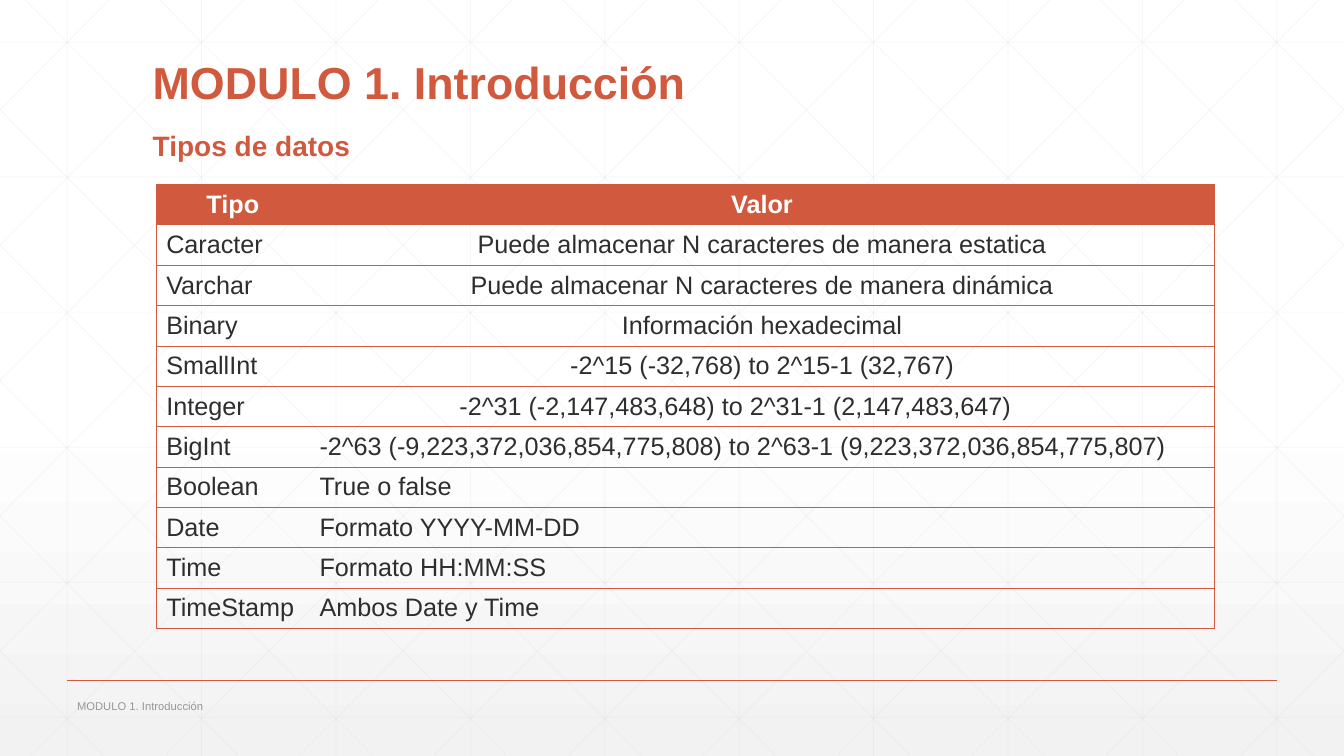
from lxml.etree import SubElement as Sub
from pptx import Presentation
from pptx.dml.color import RGBColor as Rgb
from pptx.enum.shapes import MSO_CONNECTOR as Conn
from pptx.enum.text import MSO_ANCHOR as Anchor, PP_ALIGN as Align
from pptx.oxml import parse_xml
from pptx.oxml.ns import nsdecls, qn
from pptx.util import Inches, Pt

WIDE, HIGH = 160, 90  # grid columns and rows, each 1/12 inch
STEP = 16  # gap between the background lines
RUN = 89.4  # columns a diagonal crosses from top to bottom

HUES = {"main": "D15A3E", "ink": "2D2E2D", "mute": "959795",
        "mesh": "D9D9D9", "pale": "F2F2F2", "white": "FFFFFF"}

ROWS = [
    ("Tipo", "Valor"),
    ("Caracter", "Puede almacenar N caracteres de manera estatica"),
    ("Varchar", "Puede almacenar N caracteres de manera dinámica"),
    ("Binary", "Información hexadecimal"),
    ("SmallInt", "-2^15 (-32,768) to 2^15-1 (32,767)"),
    ("Integer", "-2^31 (-2,147,483,648) to 2^31-1 (2,147,483,647)"),
    ("BigInt", "-2^63 (-9,223,372,036,854,775,808) to 2^63-1 (9,223,372,036,854,775,807)"),
    ("Boolean", "True o false"),
    ("Date", "Formato YYYY-MM-DD"),
    ("Time", "Formato HH:MM:SS"),
    ("TimeStamp", "Ambos Date y Time"),
]
MID = 6  # rows whose value is centred
SHIFT = 5  # the row whose value sits left of the centre


def unit(n):
    return Inches(n / 12)


def hue(name):
    return Rgb.from_string(HUES[name])


class Page:
    font = "Arial"

    def __init__(self, deck):
        self.slide = deck.slides.add_slide(deck.slide_layouts[6])
        self.shapes = self.slide.shapes

    def back(self, top, low, start):
        fill = self.slide.background.fill
        fill.gradient()
        fill.gradient_angle = 270
        for stop, name, spot in zip(fill.gradient_stops, (top, low), (start, 1)):
            stop.color.rgb = hue(name)
            stop.position = spot

    def line(self, x1, y1, x2, y2, name, size, alpha=None):
        item = self.shapes.add_connector(Conn.STRAIGHT, *map(unit, (x1, y1, x2, y2)))
        item.line.color.rgb = hue(name)
        item.line.width = Pt(size)
        props = item._element.spPr
        if alpha:
            tint = next(props.iter(qn("a:srgbClr")))
            Sub(tint, qn("a:alpha"), val=str(alpha * 1000))
        Sub(props, qn("a:effectLst"))

    def add_run(self, para, text, size, name, bold=False):
        run = para.add_run()
        run.text = text
        font = run.font
        font.name, font.size, font.bold = self.font, Pt(size), bold
        font.color.rgb = hue(name)

    def text(self, box, text, size, name, bold=False, anchor=Anchor.BOTTOM, gap=0.9):
        frame = self.shapes.add_textbox(*map(unit, box)).text_frame
        frame.word_wrap = True
        frame.vertical_anchor = anchor
        para = frame.paragraphs[0]
        para.line_spacing = gap
        self.add_run(para, text, size, name, bold)

    def edge(self, cell, sides):
        props = cell._tc.get_or_add_tcPr()
        for spot, side in enumerate("LRTB"):
            paint = "<a:noFill/>"
            if side in sides:
                paint = f'<a:solidFill><a:srgbClr val="{HUES["main"]}"/></a:solidFill>'
            props.insert(spot, parse_xml(
                f'<a:ln{side} {nsdecls("a")} w="6350">{paint}</a:ln{side}>'))

    def table(self, x, y, cols, tall, rows):
        grid = self.shapes.add_table(len(rows), len(cols), unit(x), unit(y),
                                     unit(sum(cols)), unit(tall * len(rows))).table
        grid.horz_banding = False
        for col, wide in zip(grid.columns, cols):
            col.width = unit(wide)
        for r, row in enumerate(rows):
            grid.rows[r].height = unit(tall)
            for c, word in enumerate(row):
                cell = grid.cell(r, c)
                cell.vertical_anchor = Anchor.MIDDLE
                para = cell.text_frame.paragraphs[0]
                head = r == 0
                if head:
                    cell.fill.solid()
                    cell.fill.fore_color.rgb = hue("main")
                else:
                    cell.fill.background()
                if head or (c == 1 and r < MID):
                    para.alignment = Align.CENTER
                if (r, c) == (SHIFT, 1):
                    cell.margin_right = Inches(0.63)
                self.add_run(para, word, 18, "white" if head else "ink", head)
                self.edge(cell, "LTB" if c == 0 else "RTB")


def main():
    deck = Presentation()
    deck.slide_width, deck.slide_height = unit(WIDE), unit(HIGH)
    page = Page(deck)

    # Background with its mesh of fine lines
    page.back("white", "pale", 0.53)
    mesh = ("mesh", 0.5, 25)
    for n in range(10):
        x = 8 + n * STEP
        page.line(x, 0, x, HIGH, *mesh)
    for n in range(6):
        y = 5 + n * 16.08
        page.line(0, y, WIDE, y, *mesh)
    for n in range(-5, 10):
        x = 3 + n * STEP
        x1, x2 = max(x, 0), min(x + RUN, WIDE)
        y1, y2 = ((at - x) * HIGH / RUN for at in (x1, x2))
        page.line(x1, y1, x2, y2, *mesh)
        page.line(WIDE - x1, y1, WIDE - x2, y2, *mesh)

    # Footer
    page.line(8, 81, 152, 81, "main", 1)
    page.text((8, 82.6, 80.4, 2.9), "MODULO 1. Introducción", 8, "mute",
              anchor=Anchor.MIDDLE, gap=1)

    # Headings
    page.text((17, 5.2, 126, 8.4), "MODULO 1. Introducción", 32, "main", True)
    page.text((17, 11.6, 126, 8.4), "Tipos de datos", 20, "main", True)

    # Table of data types
    page.table(18.6, 21.95, (18.24, 107.76), 4.73, ROWS)

    deck.save("out.pptx")


if __name__ == "__main__":
    main()
